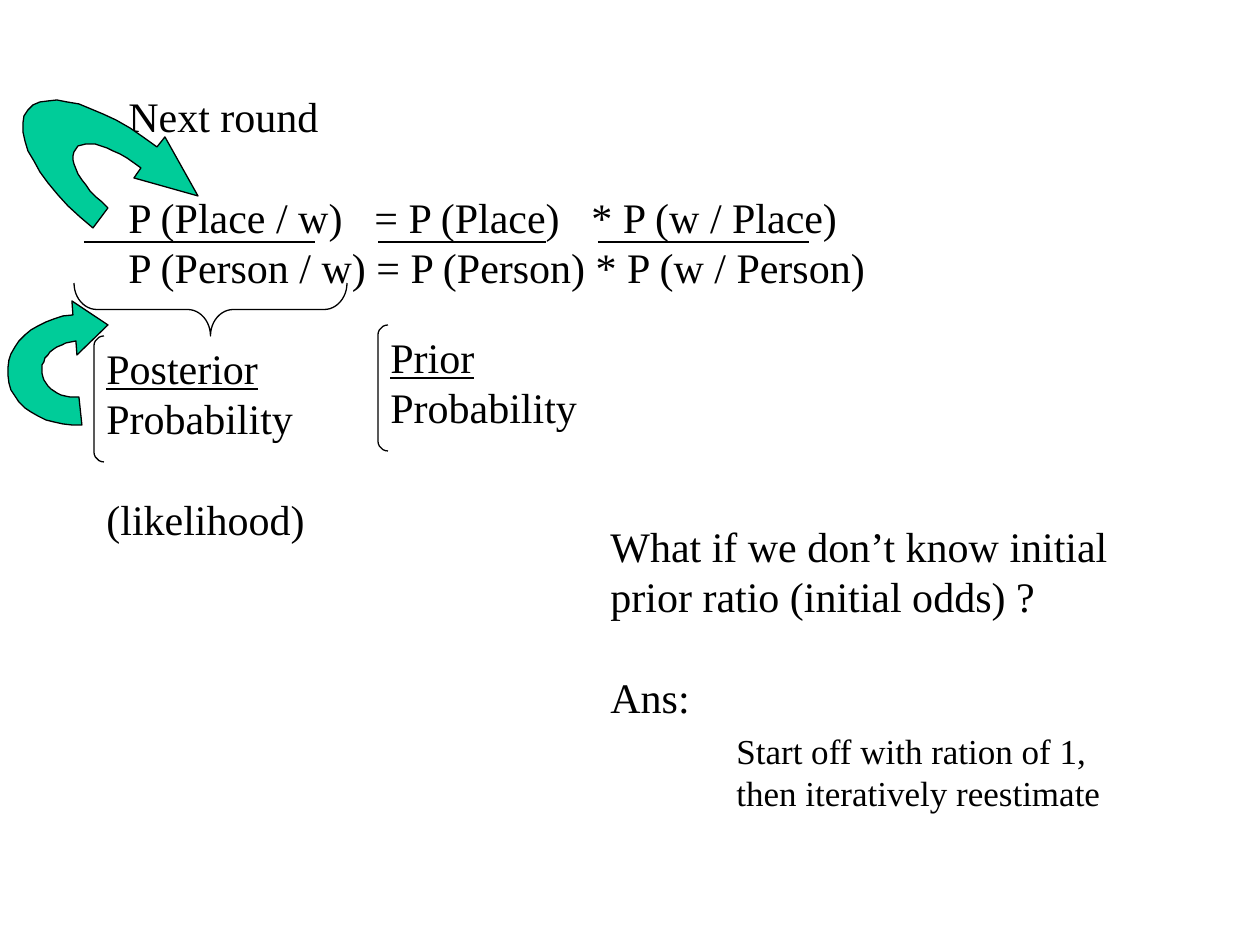
from lxml import etree
from pptx import Presentation
from pptx.dml.color import RGBColor
from pptx.enum.shapes import MSO_CONNECTOR, MSO_SHAPE
from pptx.enum.text import MSO_AUTO_SIZE as AutoSize
from pptx.oxml.ns import qn
from pptx.util import Inches, Pt

PX = Inches(1) / 126
BLACK = RGBColor(0x00, 0x00, 0x00)
GREEN = RGBColor(0x00, 0xCC, 0x99)
FONT = "Times New Roman"
BLANK_LINE = 29  # points, one line of 24 pt text
CURVE_STEPS = 12


def px(length):
    return round(length * PX)


def curve_points(start, control_1, control_2, end):
    """Sample a cubic Bezier curve, leaving out its start point."""
    points = []
    for step in range(1, CURVE_STEPS + 1):
        t = step / CURVE_STEPS
        u = 1 - t
        weights = (u ** 3, 3 * u * u * t, 3 * u * t * t, t ** 3)
        points.append(tuple(
            sum(w * p for w, p in zip(weights, axis))
            for axis in zip(start, control_1, control_2, end)))
    return points


class SlideBuilder:
    def __init__(self, slide):
        self.shapes = slide.shapes

    def text(self, left, top, width, height, paragraphs):
        """Each paragraph is its wording and a dict of what differs."""
        box = self.shapes.add_textbox(px(left), px(top), px(width), px(height))
        frame = box.text_frame
        frame.word_wrap = True
        frame.auto_size = AutoSize.SHAPE_TO_FIT_TEXT
        for index, (wording, style) in enumerate(paragraphs):
            paragraph = frame.paragraphs[0] if index == 0 else frame.add_paragraph()
            properties = paragraph._p.get_or_add_pPr()
            if "indent" in style:
                properties.set("marL", str(px(style["indent"])))
            if "tabs" in style:
                tab_list = etree.SubElement(properties, qn("a:tabLst"))
                for stop in style["tabs"]:
                    etree.SubElement(tab_list, qn("a:tab"), pos=str(px(stop)), algn="l")
            if "before" in style:
                paragraph.space_before = Pt(style["before"])
            run = paragraph.add_run()
            run.text = wording
            run.font.name = FONT
            run.font.size = Pt(style.get("size", 24))
            run.font.underline = style.get("underline")
            run.font.color.rgb = BLACK

    def fraction_bar(self, left, right, y):
        bar = self.shapes.add_connector(
            MSO_CONNECTOR.STRAIGHT, px(left), px(y), px(right), px(y))
        self.outline(bar)
        etree.SubElement(bar._element.spPr, qn("a:effectLst"))

    def bracket(self, kind, left, top, width, height, curvature, rotation=0):
        bracket = self.shapes.add_shape(kind, px(left), px(top), px(width), px(height))
        bracket.adjustments[0] = curvature
        bracket.rotation = rotation
        bracket.fill.background()
        bracket.shadow.inherit = False
        self.outline(bracket)

    def curved_arrow(self, start, segments):
        """A segment is one point for a line, or three for a curve."""
        points = [start]
        for segment in segments:
            if len(segment) == 3:
                points += curve_points(points[-1], *segment)
            else:
                points += segment
        builder = self.shapes.build_freeform(*start, scale=PX)
        builder.add_line_segments(points[1:], close=True)
        arrow = builder.convert_to_shape()
        arrow.fill.solid()
        arrow.fill.fore_color.rgb = GREEN
        arrow.shadow.inherit = False
        self.outline(arrow)

    def outline(self, shape):
        shape.line.color.rgb = BLACK
        shape.line.width = Pt(0.75)


def main():
    presentation = Presentation()
    presentation.slide_width = Inches(10)
    presentation.slide_height = Inches(7.5)
    slide = SlideBuilder(presentation.slides.add_slide(presentation.slide_layouts[6]))

    slide.text(116, 84, 1105, 214, [
        ("Next round", {}),
        ("P (Place / w)\t= P (Place)\t* P (w / Place)",
         {"before": BLANK_LINE, "tabs": (246, 463)}),
        ("P (Person / w) = P (Person) * P (w / Person)", {}),
    ])
    for left, right in ((84, 315), (378, 546), (598, 809)):
        slide.fraction_bar(left, right, 242)

    slide.text(94, 336, 231, 214, [
        ("Posterior", {"underline": True}),
        ("Probability", {}),
        ("(likelihood)", {"before": BLANK_LINE}),
    ])
    slide.text(378, 325, 231, 113, [
        ("Prior", {"underline": True}),
        ("Probability", {}),
    ])
    for left, top in ((94, 336), (378, 325)):
        slide.bracket(MSO_SHAPE.LEFT_BRACKET, left, top, 10, 126, 1)
    slide.bracket(MSO_SHAPE.LEFT_BRACE, 184, 173, 53, 273, 0.43, rotation=270)

    slide.curved_arrow((141, 168), [
        [(113, 146), (84, 137), (76, 149)],
        [(67, 160), (81, 186), (108, 208)],
        [(93, 228)],
        [(39, 185), (10, 132), (28, 110)],
        [(45, 88), (103, 105), (157, 147)],
        [(165, 137), (198, 196), (134, 178), (141, 168)][:1],
        [(198, 196)],
        [(134, 178)],
    ])
    slide.curved_arrow((76, 341), [
        [(55, 344), (40, 357), (42, 373)],
        [(43, 388), (60, 399), (79, 397)],
        [(82, 425)],
        [(43, 427), (10, 406), (8, 375)],
        [(5, 345), (34, 319), (73, 315)],
        [(72, 301)],
        [(108, 325)],
        [(77, 355)],
    ])

    slide.text(598, 514, 546, 307, [
        ("What if we don’t know initial prior ratio (initial odds) ?", {}),
        ("Ans:", {"before": BLANK_LINE}),
        ("Start off with ration of 1,", {"before": 4, "size": 20, "indent": 126}),
        ("then iteratively reestimate", {"size": 20, "indent": 126}),
    ])
    presentation.save("out.pptx")


if __name__ == "__main__":
    main()
